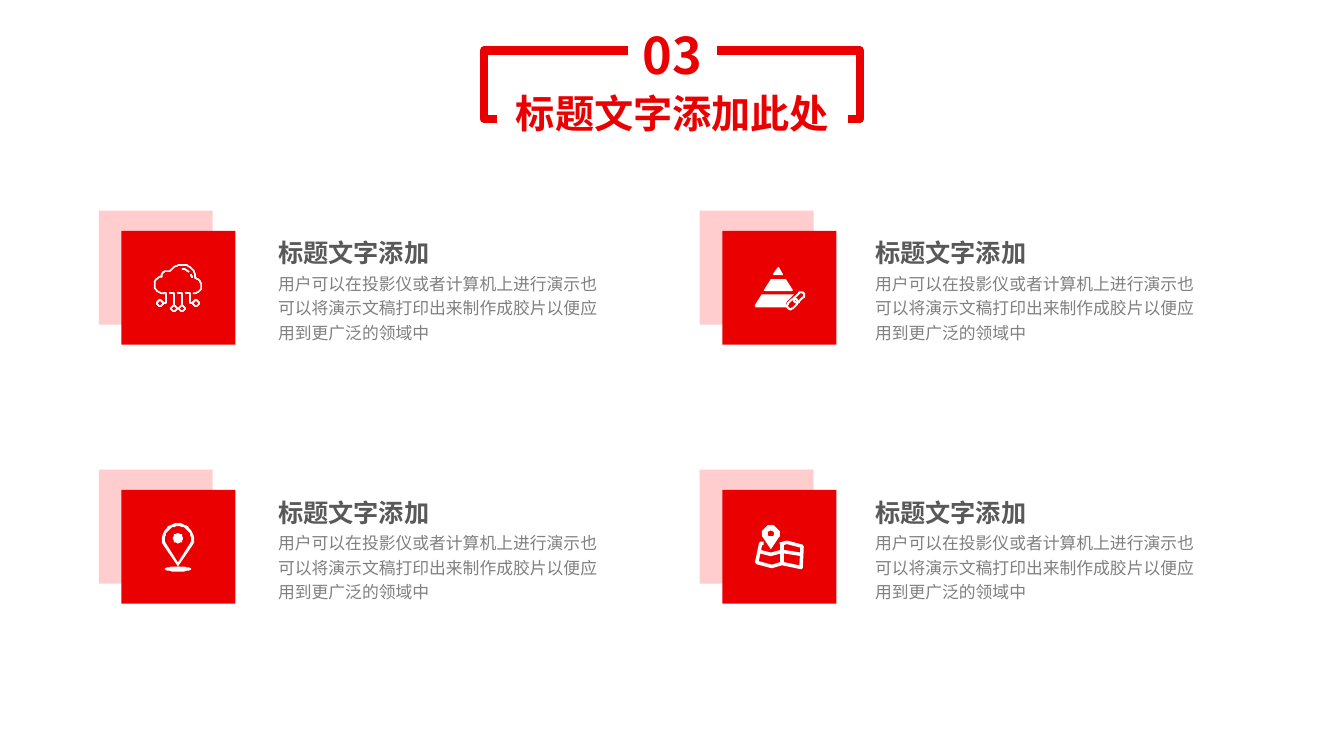
"""Build a numbered section slide with four icon-and-text blocks in a grid."""
from math import cos, radians, sin

from lxml import etree
from pptx import Presentation
from pptx.dml.color import RGBColor
from pptx.enum import shapes, text
from pptx.oxml.ns import qn
from pptx.util import Inches, Pt

RED = RGBColor(0xEA, 0x00, 0x00)
PINK = RGBColor(0xFF, 0xCD, 0xCD)
WHITE = RGBColor(0xFF, 0xFF, 0xFF)
DARK_GRAY = RGBColor(0x59, 0x59, 0x59)
GRAY = RGBColor(0x80, 0x80, 0x80)
FONT = "Noto Sans CJK SC"

NUMBER = "03"
TITLE = "标题文字添加此处"
HEADING = "标题文字添加"
BODY = "用户可以在投影仪或者计算机上进行演示也可以将演示文稿打印出来制作成胶片以便应用到更广泛的领域中"


def arc(cx, cy, rx, start=0, end=360, ry=None):
    """Return points along an elliptical arc, clockwise in degrees."""
    steps = 24
    angles = [radians(start + (end - start) * i / steps) for i in range(steps + 1)]
    return [(cx + rx * cos(a), cy + (ry or rx) * sin(a)) for a in angles]


def drop(cx, cy, radius, tip):
    """Return a map-pin outline ending in a point below."""
    return arc(cx, cy, radius, 160, 380) + [(cx, tip)]


def chain_link(cx, cy, half=2, radius=3.2):
    """Return a rounded link slanting up to the right."""
    return (arc(cx + half, cy - half, radius, -135, 45)
            + arc(cx - half, cy + half, radius, 45, 225)
            + arc(cx + half, cy - half, radius, -135, -135))


CLOUD = {
    "width": 1.2,
    "strokes": [
        [(44, 62)] + arc(41, 53.5, 8.5, 90, 260) + arc(45.5, 45.5, 5.8, 180, 290)
        + arc(60, 47, 13.5, 210, 360) + arc(72, 54.5, 7.5, 280, 450) + [(71, 62)],
        arc(60, 47, 9.2, 270, 320), arc(60, 47, 9.8, 335, 360),
        [(41, 62), (44, 62), (44, 72), (41, 72)],
        [(47, 62), (52, 62), (52, 74)],
        [(55, 62), (60, 62), (60, 74)],
        [(63, 62), (68, 62), (68, 72), (71, 72)],
        *[arc(x, y, 2.6) for x, y in [(38, 72), (52, 77), (60, 77), (74, 72)]],
    ],
    "solids": [],
}
PYRAMID = {
    "width": 1.4,
    "strokes": [chain_link(76, 66), chain_link(69.5, 72.5)],
    "solids": [
        [(55, 36), (56, 36), (60.5, 43), (60, 44), (51, 44), (50.5, 43)],
        [(48, 48), (63, 48), (70, 59), (69, 60), (42, 60), (41, 59)],
        [(39, 63), (71, 63), (64, 70), (63, 73), (64, 76), (33, 76), (32, 74)],
    ],
}
PIN = {
    "width": 1,
    "strokes": [],
    "solids": [drop(56, 49, 16, 76), drop(56, 49, 13, 71.5), arc(56, 48, 5),
               arc(56, 78.5, 13, ry=2.4)],
}
MAP = {
    "width": 2.5,
    "strokes": [
        [(41, 53), (38, 53), (34, 72.5), (49, 75.5), (59, 73), (78, 77),
         (79, 56), (64, 51.5), (57, 54)],
        [(36, 61), (48, 64), (59, 61), (78, 64)],
        [(59, 54), (59, 73)],
    ],
    "solids": [drop(48, 44, 9, 59), arc(48, 43.5, 3)],
}

ROWS = [2.09, 4.66]
COLUMNS = [(0.98, 2.66), (6.94, 8.58)]
ICONS = [[CLOUD, PYRAMID], [PIN, MAP]]
TILE = 1.13

deck = Presentation()
deck.slide_width, deck.slide_height = Inches(13.33), Inches(7.5)
slide = deck.slides.add_slide(deck.slide_layouts[5])


def add_rect(left, top, width, height):
    """Add a rectangle without fill, line or shadow."""
    rect = slide.shapes.add_shape(shapes.MSO_SHAPE.RECTANGLE, Inches(left),
                                  Inches(top), Inches(width), Inches(height))
    rect.shadow.inherit = False
    rect.fill.background()
    rect.line.fill.background()
    return rect


def add_contours(contours, left, top):
    """Add one freeform from contours in hundredths of an inch."""
    builder = None
    for points in contours:
        if builder is None:
            builder = slide.shapes.build_freeform(*points[0], scale=Inches(0.01))
        else:
            builder.move_to(*points[0])
        builder.add_line_segments(points[1:], close=False)
    outline = builder.convert_to_shape(Inches(left), Inches(top))
    outline.shadow.inherit = False
    return outline


def add_icon(icon, left, top):
    """Draw the stroked and solid parts of an icon in white."""
    if icon["strokes"]:
        strokes = add_contours(icon["strokes"], left, top)
        strokes.fill.background()
        strokes.line.color.rgb = WHITE
        strokes.line.width = Pt(icon["width"])
    if icon["solids"]:
        solids = add_contours(icon["solids"], left, top)
        solids.fill.solid()
        solids.fill.fore_color.rgb = WHITE
        solids.line.fill.background()


def write(box, words, size, color, bold=False, spacing=1.0,
          align=text.PP_ALIGN.LEFT, anchor=text.MSO_ANCHOR.TOP):
    """Put one formatted paragraph in a text shape."""
    frame = box.text_frame
    frame.word_wrap = True
    frame.auto_size = text.MSO_AUTO_SIZE.NONE
    frame.vertical_anchor = anchor
    paragraph = frame.paragraphs[0]
    paragraph.text = words
    paragraph.alignment = align
    paragraph.line_spacing = spacing
    font = paragraph.font
    font.name, font.size, font.bold = FONT, Pt(size), bold
    font.color.rgb = color
    etree.SubElement(font._rPr, qn("a:ea"), typeface=FONT)


def add_text(left, top, width, height, *args, **kwargs):
    """Add a text box with one formatted paragraph."""
    box = slide.shapes.add_textbox(Inches(left), Inches(top), Inches(width), Inches(height))
    write(box, *args, **kwargs)
    return box


for row_top, icons in zip(ROWS, ICONS):
    for (tile_left, text_left), icon in zip(COLUMNS, icons):
        for shift_x, shift_y, color in [(0, 0, PINK), (0.225, 0.2, RED)]:
            tile = add_rect(tile_left + shift_x, row_top + shift_y, TILE, TILE)
            tile.fill.solid()
            tile.fill.fore_color.rgb = color
        add_icon(icon, tile_left + 0.225, row_top + 0.2)
        add_text(text_left, row_top + 0.54, 3.39, 0.83, BODY, 12, GRAY, spacing=1.2)
        add_text(text_left, row_top + 0.16, 2.45, 0.46, HEADING, 18, DARK_GRAY,
                 bold=True, spacing=1.2)

border = add_rect(4.8, 0.5, 3.73, 0.68)
border.line.color.rgb = RED
border.line.width = Pt(6)

centred = {"bold": True, "align": text.PP_ALIGN.CENTER, "anchor": text.MSO_ANCHOR.MIDDLE}
number = add_text(6.23, 0.18, 0.88, 0.71, NUMBER, 36, RED, **centred)
title = slide.shapes.title
title.left, title.top, title.width, title.height = map(Inches, (4.93, 0.83, 3.48, 0.57))
write(title, TITLE, 28, RED, **centred)
slide.shapes._spTree.append(title._element)
for label in (number, title):
    label.fill.solid()
    label.fill.fore_color.rgb = WHITE

deck.save("out.pptx")
